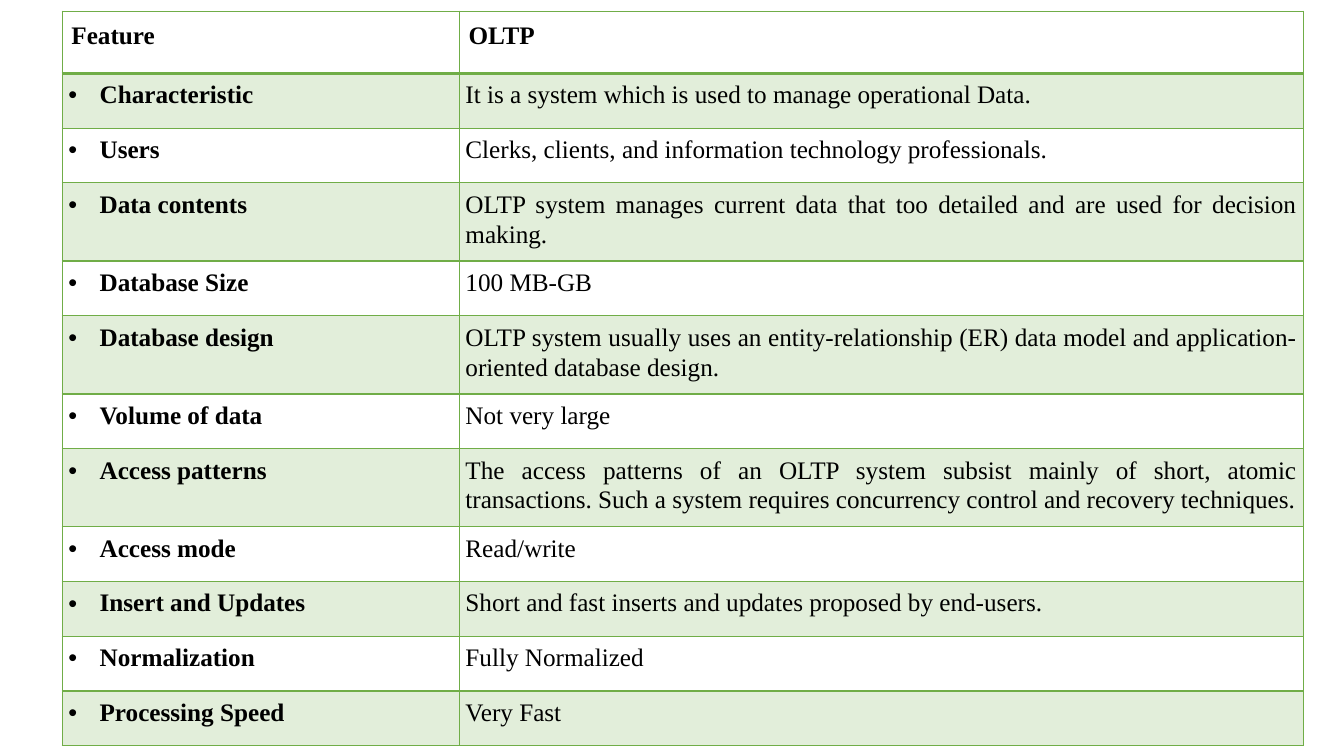
from lxml import etree
from pptx import Presentation
from pptx import util as u
from pptx.dml.color import RGBColor
from pptx.enum import text
from pptx.oxml import ns

GREEN = RGBColor(0x70, 0xAD, 0x47)
BLACK = RGBColor(0, 0, 0)

ROWS = [
    ("Feature", "OLTP"),
    ("Characteristic", "It is a system which is used to manage operational Data."),
    ("Users", "Clerks, clients, and information technology professionals."),
    ("Data contents", "OLTP system manages current data that too detailed and are "
                      "used for decision making."),
    ("Database Size", "100 MB-GB"),
    ("Database design", "OLTP system usually uses an entity-relationship (ER) data "
                        "model and application-oriented database design."),
    ("Volume of data", "Not very large"),
    ("Access patterns", "The access patterns of an OLTP system subsist mainly of "
                        "short, atomic transactions. Such a system requires "
                        "concurrency control and recovery techniques."),
    ("Access mode", "Read/write"),
    ("Insert and Updates", "Short and fast inserts and updates proposed by end-users."),
    ("Normalization", "Fully Normalized"),
    ("Processing Speed", "Very Fast"),
]
HEAD, SHORT, TALL = u.Cm(1.57), u.Cm(1.38), u.Cm(1.97)
WRAP = 70  # longer texts take two lines


def add(parent, tag, **attrs):
    """Append a drawing element with the given attributes."""
    node = etree.SubElement(parent, ns.qn("a:" + tag))
    for key, value in attrs.items():
        node.set(key, str(value))
    return node


prs = Presentation()
prs.slide_width, prs.slide_height = u.Cm(33.87), u.Cm(19.05)
slide = prs.slides.add_slide(prs.slide_layouts[6])

frame = slide.shapes.add_table(len(ROWS), 2, u.Cm(1.57), u.Cm(0.28),
                               u.Cm(31.27), u.Cm(18.52))
table = frame.table
table.first_row = table.horz_banding = False
table.columns[0].width = u.Cm(10.01)
table.columns[1].width = u.Cm(21.26)

for r, row in enumerate(ROWS):
    head = r == 0
    table.rows[r].height = HEAD if head else TALL if len(row[1]) > WRAP else SHORT
    for c, words in enumerate(row):
        cell = table.cell(r, c)
        pad = u.Cm(0.23 if head else 0.15)
        cell.margin_left = cell.margin_right = pad
        cell.margin_top = cell.margin_bottom = pad

        cell.text_frame.text = words
        para = cell.text_frame.paragraphs[0]
        para.line_spacing = 1.07
        para.space_after = u.Pt(8)
        if not head:
            para.alignment = text.PP_ALIGN.JUSTIFY
        if c == 0 and not head:
            props = para._p.get_or_add_pPr()
            props.set("marL", str(u.Cm(0.79)))
            props.set("indent", str(-u.Cm(0.79)))
            add(props, "buFont", typeface="Arial")
            add(props, "buChar", char="•")
        font = para.runs[0].font
        font.name = "Times New Roman"
        font.size = u.Pt(18)
        font.bold = head or c == 0
        font.color.rgb = BLACK

        edges = cell._tc.get_or_add_tcPr()
        for side in "LRTB":
            thick = (head and side == "B") or (r == 1 and side == "T")
            line = add(edges, "ln" + side, w=u.Pt(2 if thick else 1))
            add(add(line, "solidFill"), "srgbClr", val=GREEN)
        if r % 2:
            cell.fill.solid()
            cell.fill.fore_color.rgb = GREEN
            tint = edges.find(ns.qn("a:solidFill")).find(ns.qn("a:srgbClr"))
            add(tint, "alpha", val=20000)
        else:
            cell.fill.background()

prs.save("out.pptx")
